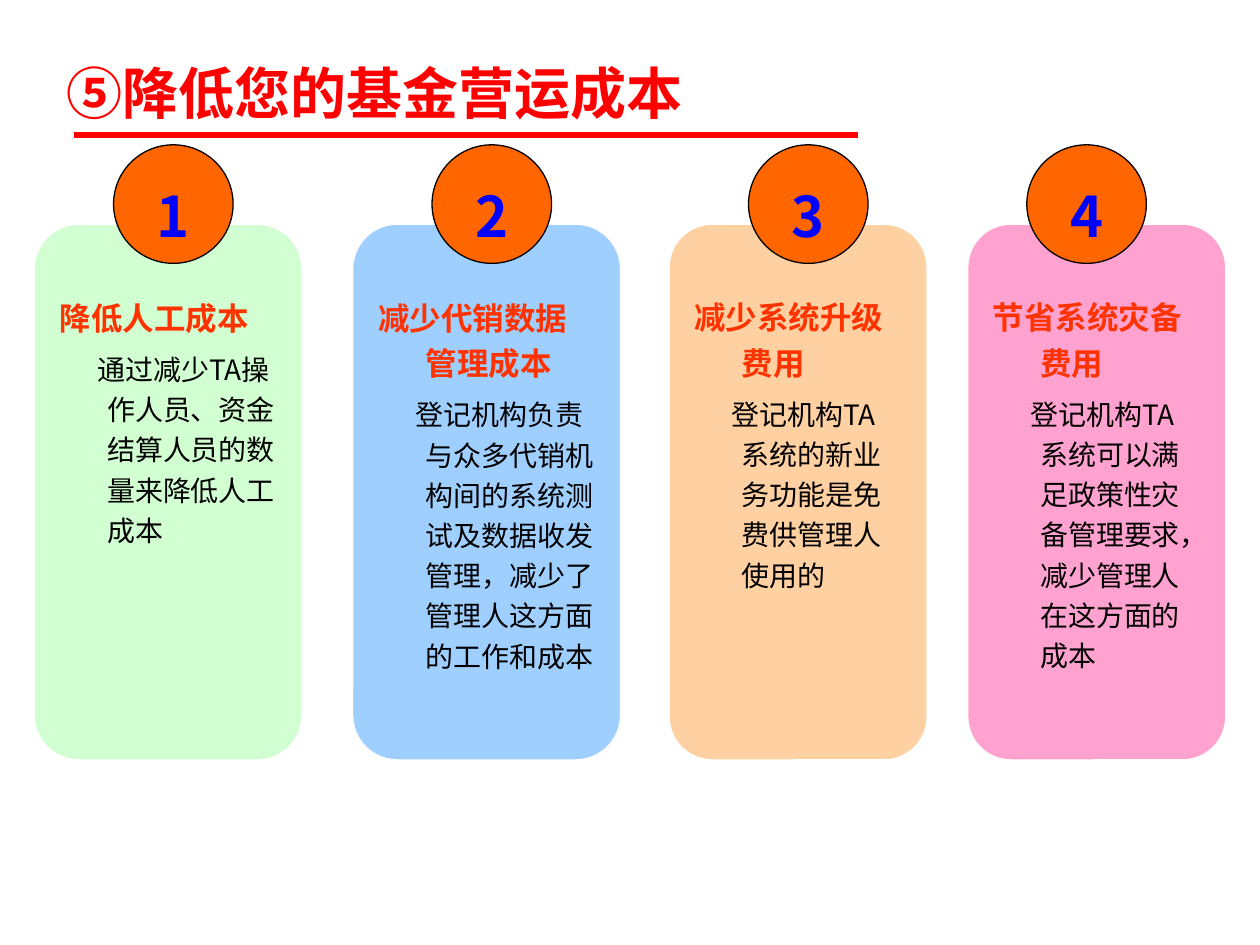
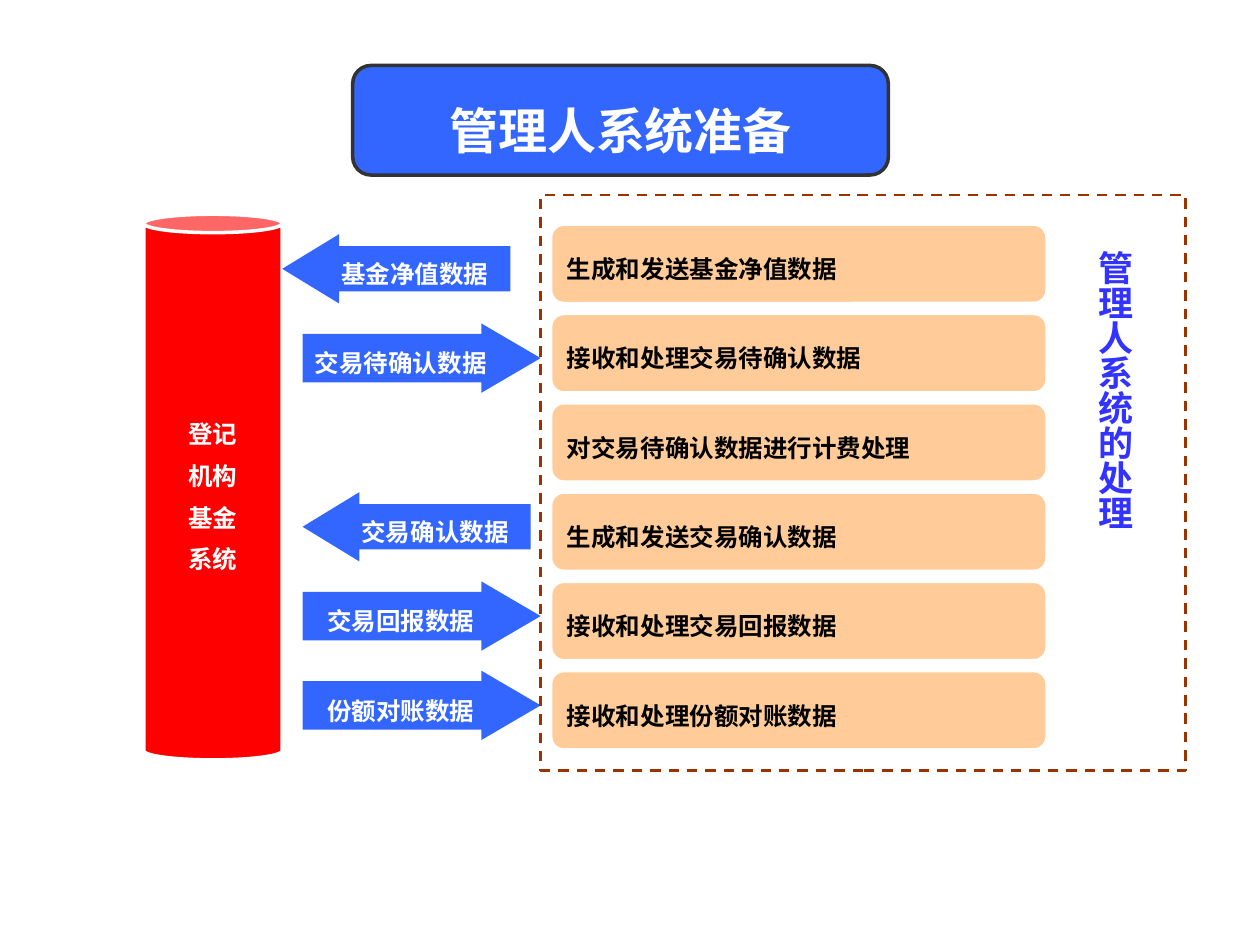
from dataclasses import dataclass

from lxml import etree
from pptx import Presentation
from pptx.dml.color import RGBColor
from pptx.enum import dml, shapes, text
from pptx.oxml import ns
from pptx.util import Cm, Pt

KIND = shapes.MSO_SHAPE
LEFT, MID = text.PP_ALIGN.LEFT, text.PP_ALIGN.CENTER


@dataclass(frozen=True)
class Theme:
    font: str = "Noto Sans CJK SC"
    red: str = "FF0000"
    head: str = "FF3300"
    disc: str = "FF6600"
    digit: str = "0000FF"
    blue: str = "3366FF"
    label: str = "3333FF"
    sand: str = "FFCC99"
    mint: str = "CCFFCC"
    sky: str = "99CCFF"
    pink: str = "FF99CC"
    brown: str = "993300"
    dark: str = "333333"
    black: str = "000000"
    white: str = "FFFFFF"
    title: int = 32
    banner: int = 28
    side: int = 20
    topic: int = 18
    body: int = 16
    small: int = 14
    pitch: float = 1.44
    drop: float = 0.16


T = Theme()


def rgb(code):
    return RGBColor.from_string(code)


def write(para, words, size=T.small, color=T.white, bold=True, align=MID,
          before=0, after=0, margin=0, indent=0):
    props = para._p.get_or_add_pPr()
    props.set("marL", str(Cm(margin)))
    props.set("indent", str(Cm(indent)))
    para.alignment = align
    para.line_spacing = Pt(round(size * T.pitch, 1))
    para.space_before, para.space_after = Pt(before), Pt(after)
    run = para.add_run()
    run.text = words
    font = run.font
    font.name, font.size, font.bold = T.font, Pt(size), bold
    font.color.rgb = rgb(color)
    east = etree.SubElement(run._r.get_or_add_rPr(), ns.qn("a:ea"))
    east.set("typeface", T.font)


def frame(shape, wrap=False, drop=0):
    box = shape.text_frame
    box.word_wrap = wrap
    box.auto_size = text.MSO_AUTO_SIZE.NONE
    box.vertical_anchor = text.MSO_ANCHOR.MIDDLE
    box.margin_left = box.margin_right = Cm(0.25)
    box.margin_top = Cm(0.13) + Pt(drop)
    box.margin_bottom = Cm(0.13)
    return box


def label(shape, words, size=T.small, wrap=False, **style):
    box = frame(shape, wrap, size * T.drop)
    write(box.paragraphs[0], words, size=size, **style)


def draw(slide, kind, place, fill=None, line=None, width=0.75, adjust=(), alpha=100):
    shape = slide.shapes.add_shape(kind, *map(Cm, place))
    shape.shadow.inherit = False
    for i, value in enumerate(adjust):
        shape.adjustments[i] = value
    if fill:
        shape.fill.solid()
        shape.fill.fore_color.rgb = rgb(fill)
        if alpha < 100:
            tint = shape._element.spPr.find(".//" + ns.qn("a:srgbClr"))
            etree.SubElement(tint, ns.qn("a:alpha")).set("val", str(alpha * 1000))
    else:
        shape.fill.background()
    if line:
        shape.line.color.rgb = rgb(line)
        shape.line.width = Pt(width)
    else:
        shape.line.fill.background()
    return shape


def title(slide, words, place, **style):
    shape = slide.shapes.title
    shape.left, shape.top, shape.width, shape.height = map(Cm, place)
    label(shape, words, **style)


def rule(slide, start, end, level):
    line = slide.shapes.add_connector(
        shapes.MSO_CONNECTOR.STRAIGHT, Cm(start), Cm(level), Cm(end), Cm(level))
    line.line.color.rgb = rgb(T.red)
    line.line.width = Pt(3)
    etree.SubElement(line._element.spPr, ns.qn("a:effectLst"))


def card(slide, left, width, fill, alpha, topic, body):
    shape = draw(slide, KIND.ROUNDED_RECTANGLE, (left, 4.52, width, 10.8),
                 fill, T.white, alpha=alpha, adjust=(0.167,))
    box = frame(shape, wrap=True)
    box.vertical_anchor = text.MSO_ANCHOR.TOP
    box.margin_top, box.margin_right = Cm(1.09), Cm(0.22)
    write(box.paragraphs[0], topic, size=T.topic, color=T.head, align=LEFT,
          after=2.2, margin=0.96, indent=-0.96)
    write(box.add_paragraph(), body, size=T.body, color=T.black, bold=False,
          align=LEFT, before=3, after=2, margin=0.96, indent=-0.2)


def disc(slide, left, number):
    shape = draw(slide, KIND.OVAL, (left, 2.92, 2.41, 2.39), T.disc, T.black)
    label(shape, str(number), size=T.title, color=T.digit)


def arrow(slide, left, top, right, words):
    if right:
        kind, width, adjust = KIND.RIGHT_ARROW, 4.8, (0.7, 0.855)
    else:
        kind, width, adjust = KIND.LEFT_ARROW, 4.6, (0.65, 0.82)
    shape = draw(slide, kind, (left, top, width, 1.4), T.blue, adjust=adjust)
    label(shape, words)


def step(slide, top, words):
    shape = draw(slide, KIND.ROUNDED_RECTANGLE, (11.1, top, 10.01, 1.6),
                 T.sand, T.white, 2, (0.167,))
    label(shape, words, wrap=True, color=T.black, align=LEFT)


def drum(slide, lines):
    shape = draw(slide, KIND.CAN, (2.9, 4.32, 2.79, 11), T.red, T.white, 2, (0.133,))
    box = frame(shape, drop=T.small * T.drop)
    for i, words in enumerate(lines):
        para = box.add_paragraph() if i else box.paragraphs[0]
        write(para, words, before=1.8 if i else 0, after=1.8)


def column(slide, words, place):
    shape = slide.shapes.add_textbox(*map(Cm, place))
    box = frame(shape)
    box._txBody.bodyPr.set("vert", "eaVert")
    write(box.paragraphs[0], words, size=T.side, color=T.label)


def costs(slide):
    title(slide, "⑤降低您的基金营运成本", (1.09, 0.53, 15.8, 2.21),
          size=T.title, color=T.red, align=LEFT)
    rule(slide, 1.5, 17.3, 2.72)
    cards = [
        (0.69, 5.4, 1.6, T.mint, 90, "降低人工成本",
         "通过减少TA操作人员、资金结算人员的数量来降低人工成本"),
        (7.11, 5.4, 1.6, T.sky, 94, "减少代销数据管理成本",
         "登记机构负责与众多代销机构间的系统测试及数据收发管理，减少了管理人这方面的工作和成本"),
        (13.49, 5.2, 1.6, T.sand, 91, "减少系统升级费用",
         "登记机构TA系统的新业务功能是免费供管理人使用的"),
        (19.51, 5.2, 1.19, T.pink, 91, "节省系统灾备费用",
         "登记机构TA系统可以满足政策性灾备管理要求，减少管理人在这方面的成本"),
    ]
    for number, (left, width, shift, *rest) in enumerate(cards, 1):
        card(slide, left, width, *rest)
        disc(slide, left + shift, number)


def flow(slide):
    place = (7.11, 1.32, 10.8, 2.21)
    banner = draw(slide, KIND.ROUNDED_RECTANGLE, place, T.blue, T.dark, 2, (0.167,))
    slide.shapes._spTree.insert(2, banner._element)
    title(slide, "管理人系统准备", place, size=T.banner)
    drum(slide, ["登记", "机构", "基金", "系统"])
    steps = [
        ("生成和发送基金净值数据", "基金净值数据", False, 5.69, 0.2),
        ("接收和处理交易待确认数据", "交易待确认数据", True, 6.1, 0.2),
        ("对交易待确认数据进行计费处理", None, None, 0, 0),
        ("生成和发送交易确认数据", "交易确认数据", False, 6.1, 0),
        ("接收和处理交易回报数据", "交易回报数据", True, 6.1, 0),
        ("接收和处理份额对账数据", "份额对账数据", True, 6.1, 0),
    ]
    for i, (task, data, right, left, shift) in enumerate(steps):
        top = 4.52 + 1.8 * i
        step(slide, top, task)
        if data:
            arrow(slide, left, top + shift, right, data)
    zone = draw(slide, KIND.RECTANGLE, (10.9, 3.93, 13, 11.6), line=T.brown, width=1.5)
    zone.line.dash_style = dml.MSO_LINE.DASH
    column(slide, "管理人系统的处理", (21.45, 4.92, 2.2, 10))


def main():
    deck = Presentation()
    deck.slide_width, deck.slide_height = Cm(25.4), Cm(19.05)
    for build in (costs, flow):
        build(deck.slides.add_slide(deck.slide_layouts[5]))
    deck.save("out.pptx")


if __name__ == "__main__":
    main()
